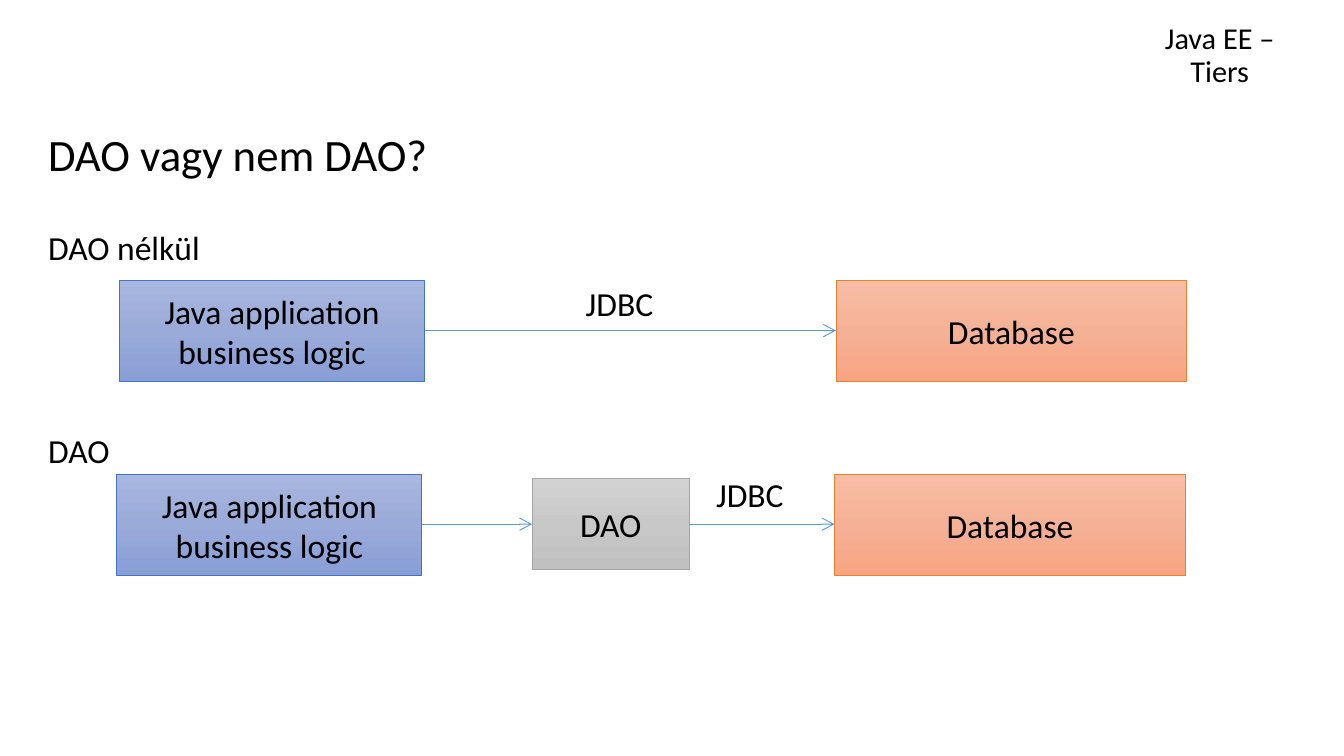
"""Build a slide comparing database access without and with a DAO."""
from copy import deepcopy
from dataclasses import dataclass

from pptx import Presentation
from pptx.dml.color import RGBColor
from pptx.enum import shapes, text
from pptx.oxml import ns, xmlchemy
from pptx.slide import Slide
from pptx.text.text import TextFrame
from pptx.util import Inches, Pt

BLACK = RGBColor(0x00, 0x00, 0x00)
ARROW_BLUE = RGBColor(0x5B, 0x9B, 0xD5)
BLUE = RGBColor(0x44, 0x72, 0xC4)
BLUE_STOPS = (RGBColor(0xA8, 0xB7, 0xDF), RGBColor(0x9A, 0xAB, 0xD9), RGBColor(0x88, 0x9E, 0xD7))
ORANGE = RGBColor(0xED, 0x7D, 0x31)
ORANGE_STOPS = (RGBColor(0xF7, 0xBD, 0xA5), RGBColor(0xF5, 0xB1, 0x96), RGBColor(0xF8, 0xA5, 0x82))
GRAY = RGBColor(0xA5, 0xA5, 0xA5)
GRAY_STOPS = (RGBColor(0xD2, 0xD2, 0xD2), RGBColor(0xC8, 0xC8, 0xC8), RGBColor(0xC0, 0xC0, 0xC0))


@dataclass(frozen=True)
class Tier:
    label: str
    width: float
    height: float
    border: RGBColor
    stops: tuple[RGBColor, ...]


@dataclass(frozen=True)
class Flow:
    middle: float
    tiers: tuple[tuple[Tier, float, float], ...]
    jdbc_left: float
    jdbc_top: float


APPLICATION = Tier("Java application\nbusiness logic", 2.27, 0.75, BLUE, BLUE_STOPS)
DATABASE = Tier("Database", 2.61, 0.75, ORANGE, ORANGE_STOPS)
DAO = Tier("DAO", 1.17, 0.68, GRAY, GRAY_STOPS)

FLOWS = (
    Flow(2.46, ((APPLICATION, 0.89, 2.09), (DATABASE, 6.22, 2.09)), 4.26, 2.06),
    Flow(3.9, ((APPLICATION, 0.87, 3.53), (DAO, 3.96, 3.56), (DATABASE, 6.21, 3.53)), 5.23, 3.48),
)


def write(frame: TextFrame, wording: str, size: float, align: text.PP_ALIGN) -> None:
    """Fill a text frame with uniformly formatted paragraphs."""
    frame.text = wording
    for paragraph in frame.paragraphs:
        paragraph.alignment = align
        paragraph.font.size = Pt(size)
        paragraph.font.name = "Calibri"
        paragraph.font.color.rgb = BLACK


def add_label(slide: Slide, wording: str, left: float, top: float, width: float,
              height: float, size: float = 18, wrap: bool = True) -> TextFrame:
    """Add a left-aligned text box and return its frame."""
    box = slide.shapes.add_textbox(Inches(left), Inches(top), Inches(width), Inches(height))
    frame = box.text_frame
    write(frame, wording, size, text.PP_ALIGN.LEFT)
    frame.word_wrap = wrap
    return frame


def add_tier(slide: Slide, tier: Tier, left: float, top: float) -> None:
    """Add a gradient box for one tier."""
    box = slide.shapes.add_shape(shapes.MSO_SHAPE.RECTANGLE, Inches(left), Inches(top),
                                 Inches(tier.width), Inches(tier.height))
    box.shadow.inherit = False
    box.fill.gradient()
    box.fill.gradient_angle = 270
    stop_list = box._element.spPr.find(".//" + ns.qn("a:gsLst"))
    stop_list.insert(1, deepcopy(stop_list[0]))
    for stop, color, position in zip(box.fill.gradient_stops, tier.stops, (0, 0.5, 1)):
        stop.color.rgb = color
        stop.position = position
    box.line.color.rgb = tier.border
    box.line.width = Pt(0.5)
    write(box.text_frame, tier.label, 18, text.PP_ALIGN.CENTER)
    box.text_frame.vertical_anchor = text.MSO_ANCHOR.MIDDLE


def add_arrow(slide: Slide, start: float, end: float, middle: float) -> None:
    """Add a horizontal arrow between two tiers."""
    arrow = slide.shapes.add_connector(shapes.MSO_CONNECTOR.STRAIGHT, Inches(start),
                                       Inches(middle), Inches(end), Inches(middle))
    arrow.line.color.rgb = ARROW_BLUE
    arrow.line.width = Pt(0.5)
    head = xmlchemy.OxmlElement("a:tailEnd")
    head.set("type", "arrow")
    arrow._element.spPr.find(ns.qn("a:ln")).append(head)
    arrow._element.spPr.append(xmlchemy.OxmlElement("a:effectLst"))


def add_flow(slide: Slide, flow: Flow) -> None:
    """Add a row of tiers, its arrows and its JDBC label."""
    for tier, left, top in flow.tiers:
        add_tier(slide, tier, left, top)
    for (source, left, _), (_, target_left, _) in zip(flow.tiers, flow.tiers[1:]):
        add_arrow(slide, left + source.width, target_left, flow.middle)
    add_label(slide, "JDBC", flow.jdbc_left, flow.jdbc_top, 0.86, 0.4, wrap=False)


def main() -> None:
    """Create and save the presentation."""
    deck = Presentation()
    deck.slide_width = Inches(10)
    deck.slide_height = deck.slide_width * 9 // 16
    slide = deck.slides.add_slide(deck.slide_layouts[5])

    title = slide.shapes.title
    title.left, title.top = Inches(8.23), Inches(0.07)
    title.width, title.height = Inches(1.69), Inches(0.64)
    write(title.text_frame, "Java EE –\vTiers", 16.2, text.PP_ALIGN.CENTER)
    title.text_frame.auto_size = text.MSO_AUTO_SIZE.NONE
    title.text_frame.vertical_anchor = text.MSO_ANCHOR.BOTTOM
    title.text_frame.paragraphs[0].line_spacing = 0.9

    question = add_label(slide, "DAO vagy nem DAO?", 0.26, 0.94, 9.43, 0.48, size=24)
    question.paragraphs[0].line_spacing = 0.9
    headings = add_label(slide, "DAO nélkül\nDAO", 0.26, 1.64, 9.43, 1.92)
    headings.paragraphs[1].space_before = Pt(87)

    for flow in FLOWS:
        add_flow(slide, flow)
    deck.save("out.pptx")


if __name__ == "__main__":
    main()
